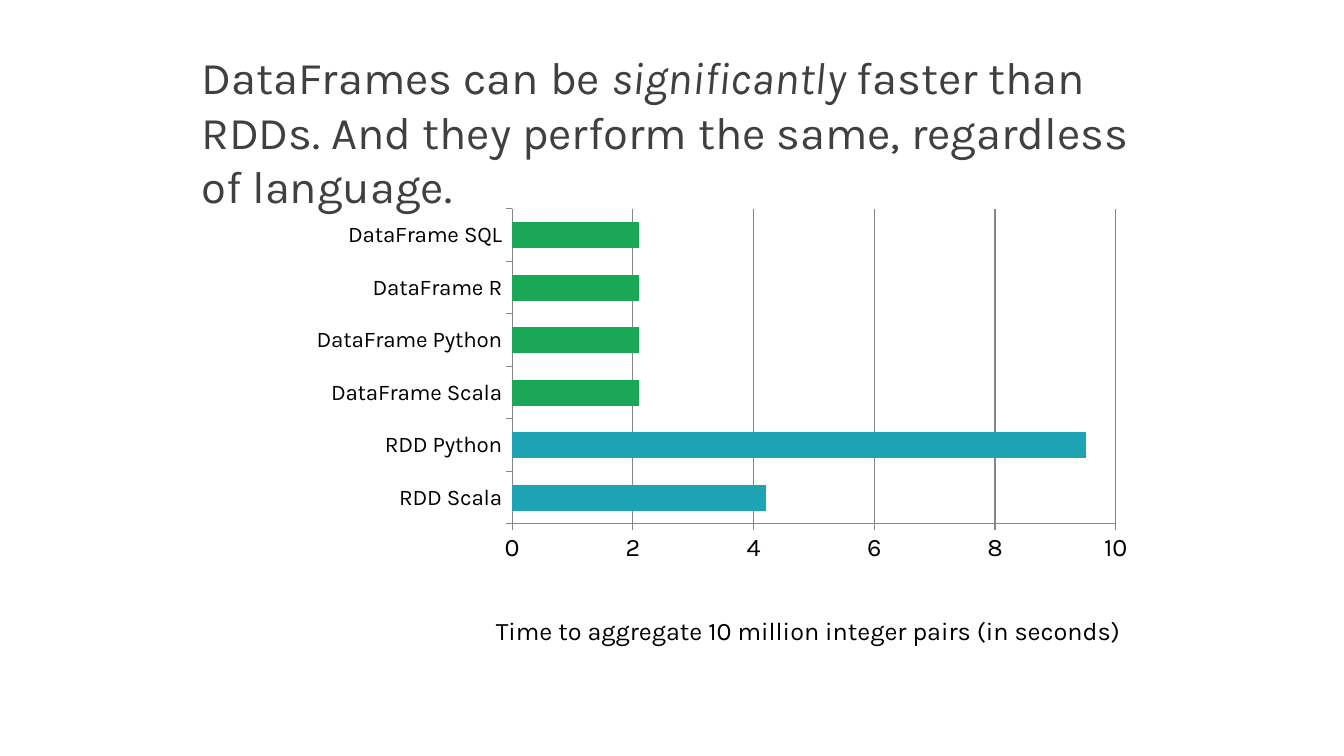
import pptx
import pptx.chart.data
import pptx.dml.color
import pptx.enum.chart
import pptx.enum.text
import pptx.oxml
import pptx.oxml.ns
import pptx.util

WHITE = pptx.dml.color.RGBColor(0xFF, 0xFF, 0xFF)
BLACK = pptx.dml.color.RGBColor(0x00, 0x00, 0x00)
CHARCOAL = pptx.dml.color.RGBColor(0x40, 0x40, 0x40)
GRAY = pptx.dml.color.RGBColor(0x86, 0x86, 0x86)
TEAL = pptx.dml.color.RGBColor(0x1E, 0xA3, 0xB5)
GREEN = pptx.dml.color.RGBColor(0x1A, 0xA7, 0x56)

TIMES = {
    "RDD Scala": 4.2,
    "RDD Python": 9.5,
    "DataFrame Scala": 2.1,
    "DataFrame Python": 2.1,
    "DataFrame R": 2.1,
    "DataFrame SQL": 2.1,
}


def set_font(font, size, color=BLACK, name="Karla", italic=False):
    font.size = pptx.util.Pt(size)
    font.name = name
    font.bold = False
    font.italic = italic
    font.color.rgb = color


def add_text(p, text, **fmt):
    r = p.add_run()
    r.text = text
    set_font(r.font, **fmt)


def place(parent, index, target=None, **shares):
    """Give a chart part a manual layout in shares of the chart's size."""
    old = parent.find(pptx.oxml.ns.qn("c:layout"))
    if old is not None:
        parent.remove(old)
    values = {"layoutTarget": target} if target else {}
    values.update(xMode="edge", yMode="edge", **shares)
    inner = "".join(f'<c:{tag} val="{val}"/>' for tag, val in values.items())
    parent.insert(index, pptx.oxml.parse_xml(
        f'<c:layout {pptx.oxml.ns.nsdecls("c")}>'
        f"<c:manualLayout>{inner}</c:manualLayout></c:layout>"))


class Deck:
    def __init__(self, width=13.33, height=7.5):
        self.prs = pptx.Presentation()
        self.prs.slide_width = pptx.util.Inches(width)
        self.prs.slide_height = pptx.util.Inches(height)
        self.slide = self.prs.slides.add_slide(self.prs.slide_layouts[5])
        self.slide.background.fill.solid()
        self.slide.background.fill.fore_color.rgb = WHITE

    def box(self, x, y, w, h):
        """Turn shares of the slide's size into lengths."""
        sw, sh = self.prs.slide_width, self.prs.slide_height
        return int(x * sw), int(y * sh), int(w * sw), int(h * sh)

    def title(self, parts, x, y, w, h, size):
        sp = self.slide.shapes.title
        sp.left, sp.top, sp.width, sp.height = self.box(x, y, w, h)
        tf = sp.text_frame
        tf.word_wrap = True
        tf.auto_size = pptx.enum.text.MSO_AUTO_SIZE.NONE
        tf.vertical_anchor = pptx.enum.text.MSO_ANCHOR.TOP
        tf.margin_left = tf.margin_right = pptx.util.Inches(0.13)
        tf.margin_top = tf.margin_bottom = pptx.util.Inches(0.07)
        p = tf.paragraphs[0]
        p.alignment = pptx.enum.text.PP_ALIGN.LEFT
        for text, italic in parts:
            add_text(p, text, size=size, color=CHARCOAL, italic=italic)

    def bar_chart(self, times, axis_title, x, y, w, h):
        data = pptx.chart.data.CategoryChartData()
        data.categories = list(times)
        data.add_series("Series 1", list(times.values()))
        chart = self.slide.shapes.add_chart(
            pptx.enum.chart.XL_CHART_TYPE.BAR_STACKED,
            *self.box(x, y, w, h), data).chart
        chart.has_legend = chart.has_title = False
        set_font(chart.font, 18, name="Roboto Slab")

        # Bars, coloured by API
        plot = chart.plots[0]
        plot.gap_width = plot.overlap = 100
        plot.vary_by_categories = False
        series = plot.series[0]
        self.fill(series, TEAL)
        for i, name in enumerate(times):
            if name.startswith("DataFrame"):
                self.fill(series.points[i], GREEN)

        # Axes
        for axis, size in ((chart.category_axis, 16), (chart.value_axis, 18)):
            set_font(axis.tick_labels.font, size)
            axis.tick_labels.number_format = "General"
            axis.tick_labels.number_format_is_linked = False
            axis.major_tick_mark = pptx.enum.chart.XL_TICK_MARK.OUTSIDE
            axis.minor_tick_mark = pptx.enum.chart.XL_TICK_MARK.NONE
            self.line(axis)
        chart.category_axis.has_major_gridlines = False
        axis = chart.value_axis
        axis.minimum_scale, axis.maximum_scale, axis.major_unit = 0, 10, 2
        axis.has_major_gridlines = True
        self.line(axis.major_gridlines)
        p = axis.axis_title.text_frame.paragraphs[0]
        add_text(p, axis_title, size=18)

        # Plot area and axis title positions
        root = chart.element
        place(root.xpath(".//c:plotArea")[0], 0, "inner",
              x=0.346, y=0.065, w=0.607, h=0.625)
        place(root.xpath(".//c:valAx/c:title")[0], 1, x=0.325, y=0.86)

    def fill(self, item, color):
        item.format.fill.solid()
        item.format.fill.fore_color.rgb = color

    def line(self, item):
        item.format.line.color.rgb = GRAY
        item.format.line.width = pptx.util.Pt(0.75)


def main():
    deck = Deck()
    deck.title(
        [("DataFrames can be ", False), ("significantly", True),
         (" faster than RDDs. And they perform the same, "
          "regardless of language.", False)],
        x=0.14, y=0.056, w=0.736, h=0.156, size=32.4)
    deck.bar_chart(
        TIMES, "Time to aggregate 10 million integer pairs (in seconds)",
        x=0.125, y=0.233, w=0.74, h=0.667)
    deck.prs.save("out.pptx")


if __name__ == "__main__":
    main()
